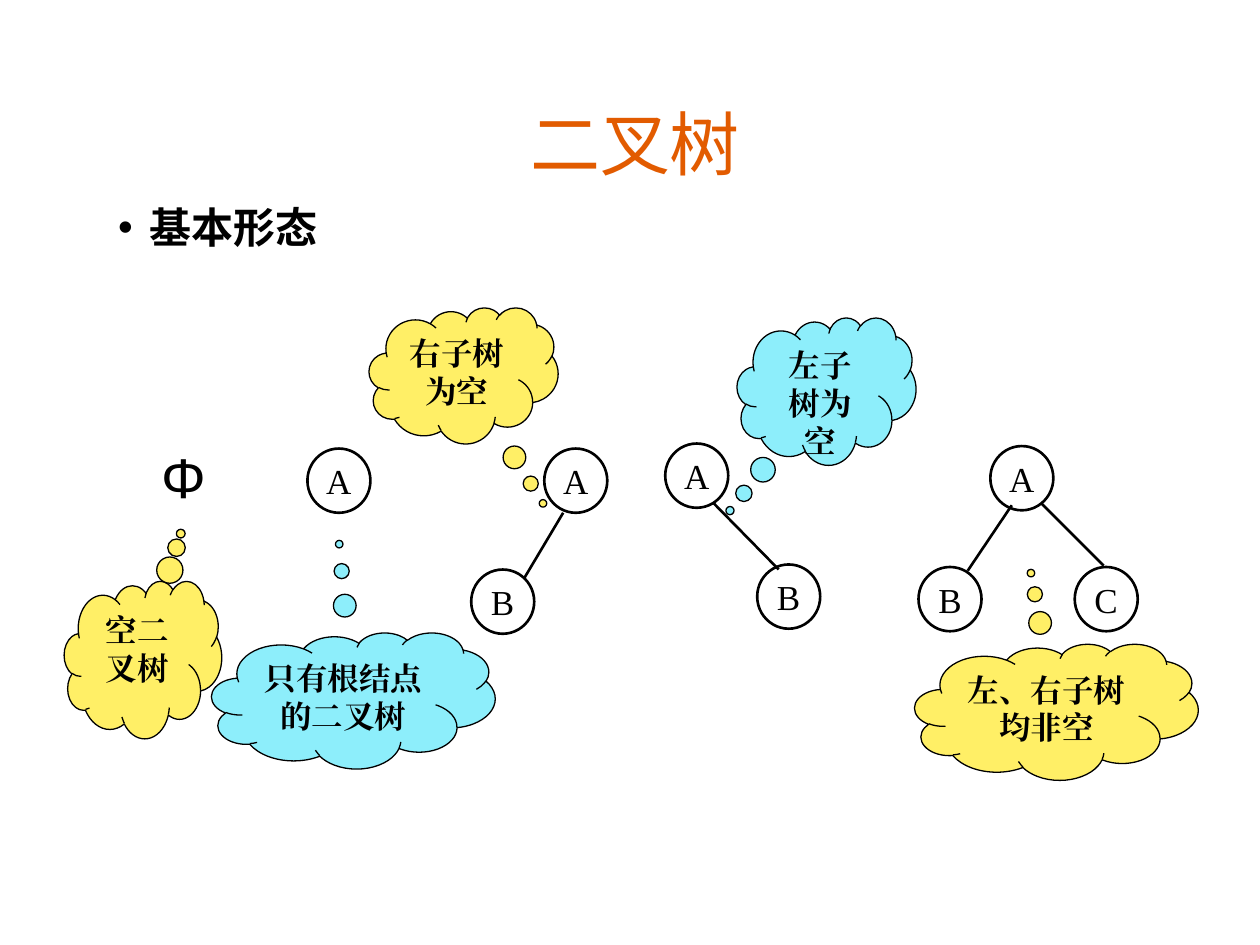
from lxml import etree
from pptx import Presentation
from pptx.dml.color import RGBColor
from pptx.enum.shapes import MSO_CONNECTOR, MSO_SHAPE
from pptx.enum.text import MSO_ANCHOR, PP_ALIGN
from pptx.oxml.ns import qn
from pptx.util import Inches, Pt

OVAL = MSO_SHAPE.OVAL
CLOUD = MSO_SHAPE.CLOUD_CALLOUT
LINE = MSO_CONNECTOR.STRAIGHT
TOP, MID, LOW = MSO_ANCHOR.TOP, MSO_ANCHOR.MIDDLE, MSO_ANCHOR.BOTTOM
LEFT, MIDDLE = PP_ALIGN.LEFT, PP_ALIGN.CENTER

COLS, ROWS = 100, 75
WIDE, HIGH = Inches(10), Inches(7.5)
NODE = 5, 5.1
ROMAN = "Times New Roman"
BLACK, AMBER, GOLD, CYAN = "000000", "E25B00", "FFEF66", "8DEEFB"


def color(code):
    return RGBColor.from_string(code)


def cells(x, y):
    return round(WIDE * x / COLS), round(HIGH * y / ROWS)


def area(box):
    x, y, w, h = box
    return *cells(x, y), *cells(w, h)


def bullet(para, left, hang):
    props = para._p.get_or_add_pPr()
    props.set("marL", str(cells(left, 0)[0]))
    props.set("indent", str(-cells(hang, 0)[0]))
    etree.SubElement(props, qn("a:buFont"), typeface="Arial")
    etree.SubElement(props, qn("a:buChar"), char="•")


def write(shape, text, font=ROMAN, size=18, bold=False, ink=BLACK,
          align=MIDDLE, anchor=TOP, wrap=True, dot=None, space=None):
    frame = shape.text_frame
    frame.word_wrap = wrap
    frame.vertical_anchor = anchor
    for i, line in enumerate(text.split("\n")):
        para = frame.add_paragraph() if i else frame.paragraphs[0]
        para.alignment = align
        if space:
            para.line_spacing = space
        if dot:
            bullet(para, *dot)
        run = para.add_run()
        run.text = line
        run.font.size = Pt(size)
        run.font.bold = bold
        run.font.color.rgb = color(ink)
        run.font.name = font
        latin = run._r.rPr.find(qn("a:latin"))
        latin.addnext(etree.Element(qn("a:ea"), typeface=font))


def label(slide, box, text, **style):
    write(slide.shapes.add_textbox(*area(box)), text, **style)


def solid(slide, kind, box, width, fill=None):
    shape = slide.shapes.add_shape(kind, *area(box))
    shape.shadow.inherit = False
    if fill:
        shape.fill.solid()
        shape.fill.fore_color.rgb = color(fill)
    else:
        shape.fill.background()
    shape.line.color.rgb = color(BLACK)
    shape.line.width = Pt(width)
    return shape


def edge(slide, start, end):
    line = slide.shapes.add_connector(LINE, *cells(*start), *cells(*end))
    line.line.color.rgb = color(BLACK)
    line.line.width = Pt(1.5)
    etree.SubElement(line._element.spPr, qn("a:effectLst"))


def tree(slide, box, nodes, edges=()):
    x, y, w, h = box
    room = w - NODE[0], h - NODE[1]
    for name, across, down in nodes:
        place = x + across * room[0], y + down * room[1], *NODE
        write(solid(slide, OVAL, place, 1.5), name, size=20,
              anchor=MID, wrap=False)
    for a, b, c, d in edges:
        edge(slide, (x + a, y + b), (x + c, y + d))


def cloud(slide, box, text, fill, tail):
    shape = solid(slide, CLOUD, box, 0.75, fill)
    for i, share in enumerate(tail):
        shape.adjustments[i] = share
    write(shape, text, bold=True)


def header(slide, box):
    x, y, w, h = box
    label(slide, (x + 7.5, y, w - 14.2, 8.3), "二叉树",
          font="Comic Neue", size=40, ink=AMBER, anchor=LOW)
    label(slide, (x, y + 7.9, w, h - 7.9), "基本形态",
          font="Noto Sans CJK SC", size=24, bold=True, align=LEFT,
          dot=(10.9, 2.5), space=1.2)


def forms(slide):
    label(slide, (11.8, 34.6, 5.4, 6.4), "Φ", font="Arial", size=32,
          anchor=MID, wrap=False)
    tree(slide, (24.4, 35.6, *NODE), [("A", 0, 0)])
    tree(slide, (37.4, 35.6, 10.8, 14.7), [("A", 1, 0), ("B", 0, 1)],
         [(7.3, 5.1, 4.2, 10.3)])
    tree(slide, (52.8, 35.2, 12.3, 14.7), [("A", 0, 0), ("B", 1, 1)],
         [(3.8, 4.7, 9, 10)])
    tree(slide, (72.9, 35.4, 17.4, 14.7),
         [("A", 0.46, 0), ("B", 0, 1), ("C", 1, 1)],
         [(7.4, 4.7, 3.9, 9.9), (9.7, 4.5, 14.7, 9.5)])


def notes(slide):
    for box, text, fill, tail in [
        ((5.1, 46.1, 12.5, 12.5), "空二叉树", GOLD, (0.24, -0.8)),
        ((16.8, 50.2, 22.5, 10.8), "只有根结点\n的二叉树", CYAN, (-0.05, -1.15)),
        ((29.3, 24.4, 15, 10.8), "右子树为空", GOLD, (0.42, 0.94)),
        ((58.5, 25.2, 14.2, 11.7), "左子树为空", CYAN, (-0.54, 0.81)),
        ((72.6, 51.1, 22.5, 10.8), "左、右子树\n均非空", GOLD, (-0.09, -1.02)),
    ]:
        cloud(slide, box, text, fill, tail)


def main():
    deck = Presentation()
    deck.slide_width, deck.slide_height = WIDE, HIGH
    slide = deck.slides.add_slide(deck.slide_layouts[6])
    header(slide, (0, 6.8, COLS, 16))
    forms(slide)
    notes(slide)
    deck.save("out.pptx")


if __name__ == "__main__":
    main()
